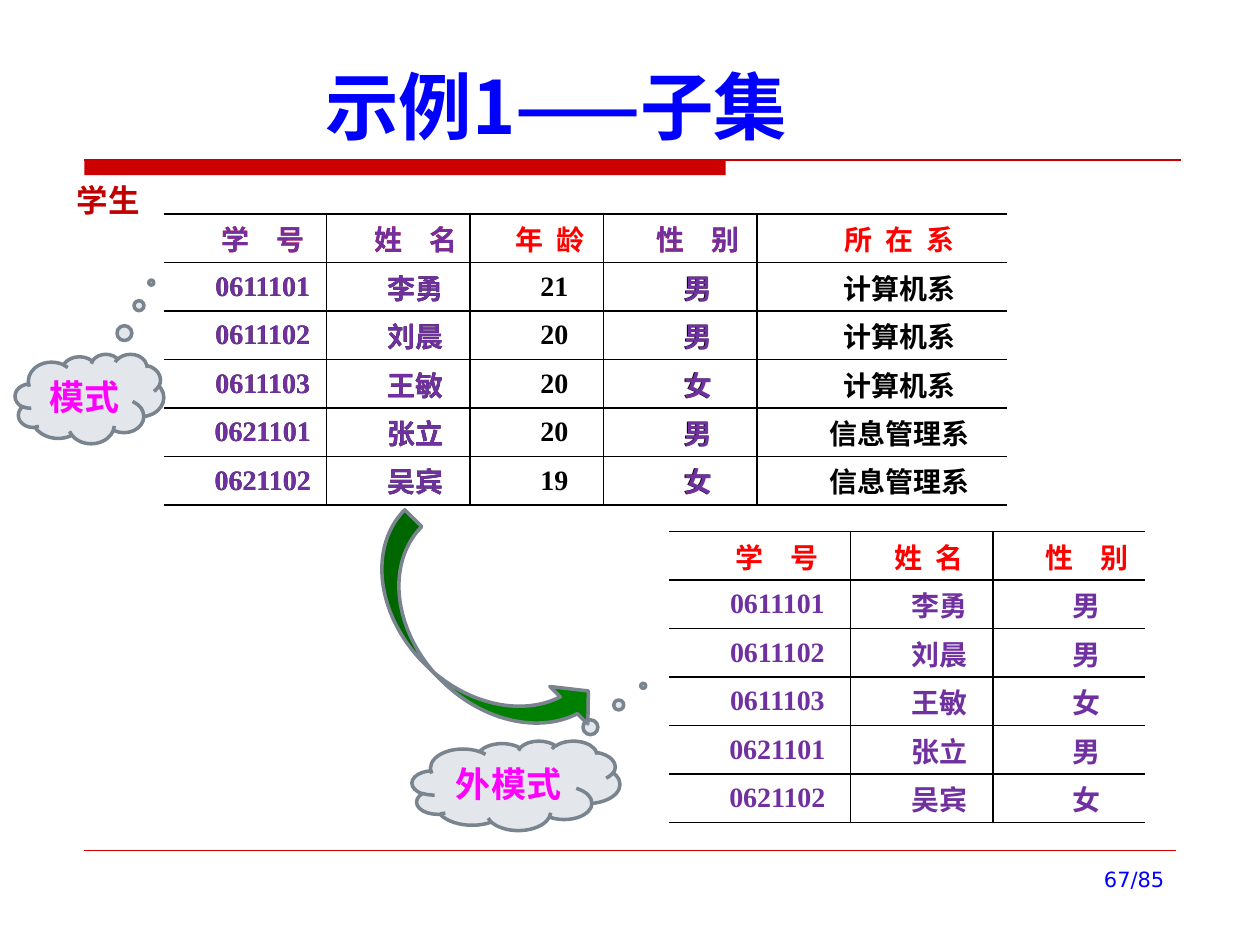
"""Build the subset example slide: student table, external view and callouts."""
from dataclasses import dataclass

from lxml.etree import SubElement
from pptx import Presentation
from pptx.dml.color import RGBColor
from pptx.enum.shapes import MSO_CONNECTOR, MSO_SHAPE
from pptx.enum.text import MSO_ANCHOR, PP_ALIGN
from pptx.oxml.ns import qn
from pptx.util import Inches, Pt

BLUE = RGBColor(0x00, 0x00, 0xFF)
CRIMSON = RGBColor(0xCC, 0x00, 0x00)
DARK_RED = RGBColor(0xC0, 0x00, 0x00)
RED = RGBColor(0xFF, 0x00, 0x00)
PURPLE = RGBColor(0x70, 0x30, 0xA0)
MAGENTA = RGBColor(0xFF, 0x00, 0xFF)
BLACK = RGBColor(0x00, 0x00, 0x00)
GREEN = RGBColor(0x00, 0x80, 0x00)
CLOUD_FILL = RGBColor(0xA3, 0xB2, 0xC1)
OUTLINE = RGBColor(0x79, 0x84, 0x8F)

CHINESE_FONT = "Noto Sans CJK SC"
SANS_FONT = "DejaVu Sans"
TABLE_FONT = "Times New Roman"
TABLE_HEIGHT = 2.31
FIRST_LINE_INDENT = Inches(0.28)
BORDER_TAGS = {"left": "a:lnL", "right": "a:lnR", "top": "a:lnT", "bottom": "a:lnB"}

HEADERS = ["学 号", "姓 名", "年 龄", "性 别", "所 在 系"]
STUDENTS = [
    ["0611101", "李勇", "21", "男", "计算机系"],
    ["0611102", "刘晨", "20", "男", "计算机系"],
    ["0611103", "王敏", "20", "女", "计算机系"],
    ["0621101", "张立", "20", "男", "信息管理系"],
    ["0621102", "吴宾", "19", "女", "信息管理系"],
]


@dataclass
class StudentTable:
    left: float
    top: float
    fields: list[int]
    widths: list[float]
    header_color: RGBColor
    body_color: RGBColor
    narrow_fields: tuple[int, ...] = ()
    left_aligned_field: int | None = None
    side_margin: float = 0.07
    left_edge: bool = False
    right_edge: bool = False


@dataclass
class Callout:
    text: str
    left: float
    top: float
    width: float
    pointer: tuple[float, float]


MAIN_TABLE = StudentTable(1.3, 1.7, [0, 1, 2, 3, 4], [1.29, 1.14, 1.06, 1.22, 1.98],
                          RED, BLACK, narrow_fields=(2, 4), left_aligned_field=2,
                          side_margin=0.08)
VIEW_TABLE = StudentTable(5.31, 4.22, [0, 1, 3], [1.44, 1.13, 1.21], RED, PURPLE,
                          narrow_fields=(1,), left_aligned_field=1)
HIGHLIGHTS = [
    StudentTable(1.3, 1.7, [0], [1.29], PURPLE, PURPLE, side_margin=0.08, right_edge=True),
    StudentTable(2.59, 1.7, [1], [1.14], PURPLE, PURPLE, left_edge=True, right_edge=True),
    StudentTable(4.79, 1.7, [3], [1.22], PURPLE, PURPLE, left_edge=True, right_edge=True),
]
SCHEMA_CALLOUT = Callout("模式", 0.12, 2.81, 1.18, (0.416, -1.299))
VIEW_CALLOUT = Callout("外模式", 3.27, 5.88, 1.65, (0.612, -1.116))


def write_text(text_frame, text: str, *, size: float, color: RGBColor, font: str,
               bold: bool = True, align=PP_ALIGN.CENTER, spacing: float = 0):
    paragraph = text_frame.paragraphs[0]
    paragraph.alignment = align
    run = paragraph.add_run()
    run.text = text
    run.font.size = Pt(size)
    run.font.bold = bold
    run.font.color.rgb = color
    run.font.name = font
    properties = run.font._element
    if spacing:
        properties.set("spc", str(int(spacing * 100)))
    SubElement(properties, qn("a:ea")).set("typeface", CHINESE_FONT)
    return paragraph


def add_text_box(slide, text: str, left: float, top: float, width: float, height: float,
                 *, anchor=MSO_ANCHOR.TOP, **text_format) -> None:
    box = slide.shapes.add_textbox(Inches(left), Inches(top), Inches(width), Inches(height))
    box.text_frame.word_wrap = True
    box.text_frame.vertical_anchor = anchor
    write_text(box.text_frame, text, **text_format)


def add_line(slide, left: float, right: float, y: float, width: float) -> None:
    line = slide.shapes.add_connector(MSO_CONNECTOR.STRAIGHT, Inches(left), Inches(y),
                                      Inches(right), Inches(y))
    line.line.color.rgb = CRIMSON
    line.line.width = Pt(width)
    SubElement(line._element.spPr, qn("a:effectLst"))


def add_preset(slide, preset, left: float, top: float, width: float, height: float,
               fill: RGBColor, adjustments: tuple[float, ...] = ()):
    shape = slide.shapes.add_shape(preset, Inches(left), Inches(top),
                                   Inches(width), Inches(height))
    shape.shadow.inherit = False
    shape.fill.solid()
    shape.fill.fore_color.rgb = fill
    shape.line.color.rgb = OUTLINE
    shape.line.width = Pt(2)
    for index, value in enumerate(adjustments):
        shape.adjustments[index] = value
    return shape


def add_callout(slide, callout: Callout) -> None:
    cloud = add_preset(slide, MSO_SHAPE.CLOUD_CALLOUT, callout.left, callout.top,
                       callout.width, 0.71, CLOUD_FILL, callout.pointer)
    color = cloud._element.spPr.find(qn("a:solidFill")).find(qn("a:srgbClr"))
    SubElement(color, qn("a:alpha")).set("val", "30000")
    cloud.text_frame.vertical_anchor = MSO_ANCHOR.MIDDLE
    write_text(cloud.text_frame, callout.text, size=20, color=MAGENTA, font=SANS_FONT)


def set_borders(cell, visible: dict[str, bool]) -> None:
    properties = cell._tc.get_or_add_tcPr()
    for side, tag in BORDER_TAGS.items():
        border = SubElement(properties, qn(tag), w=str(Pt(1)))
        if visible[side]:
            fill = SubElement(border, qn("a:solidFill"))
            SubElement(fill, qn("a:srgbClr")).set("val", str(BLACK))
        else:
            SubElement(border, qn("a:noFill"))


def add_student_table(slide, spec: StudentTable) -> None:
    records = [HEADERS, *STUDENTS]
    frame = slide.shapes.add_table(len(records), len(spec.fields), Inches(spec.left),
                                   Inches(spec.top), Inches(sum(spec.widths)),
                                   Inches(TABLE_HEIGHT))
    table = frame.table
    table.first_row = table.horz_banding = False
    for column, width in zip(table.columns, spec.widths):
        column.width = Inches(width)
    last = len(spec.fields) - 1
    for row, record in enumerate(records):
        for column, field in enumerate(spec.fields):
            is_header = row == 0
            cell = table.cell(row, column)
            cell.margin_left = cell.margin_right = Inches(spec.side_margin)
            cell.margin_top = cell.margin_bottom = 0
            cell.vertical_anchor = MSO_ANCHOR.MIDDLE
            left_aligned = is_header and field == spec.left_aligned_field
            header_spacing = 2 if field in spec.narrow_fields else 6
            paragraph = write_text(
                cell.text_frame, record[field], size=16, font=TABLE_FONT,
                color=spec.header_color if is_header else spec.body_color,
                align=PP_ALIGN.LEFT if left_aligned else PP_ALIGN.CENTER,
                spacing=header_spacing if is_header else 0)
            paragraph._p.get_or_add_pPr().set("indent", str(FIRST_LINE_INDENT))
            set_borders(cell, {"left": column > 0 or spec.left_edge,
                               "right": column < last or spec.right_edge,
                               "top": True, "bottom": True})
            cell.fill.background()


def main() -> None:
    presentation = Presentation()
    presentation.slide_width = Inches(10)
    presentation.slide_height = Inches(7.5)
    slide = presentation.slides.add_slide(presentation.slide_layouts[6])

    bar = add_preset(slide, MSO_SHAPE.RECTANGLE, 0.67, 1.27, 5.09, 0.12, CRIMSON)
    bar.line.fill.background()
    add_line(slide, 0.67, 9.37, 1.27, 0.75)
    add_line(slide, 0.67, 9.33, 6.75, 0.25)
    add_text_box(slide, "示例1——子集", 0.63, 0.33, 7.57, 0.9, anchor=MSO_ANCHOR.BOTTOM,
                 size=42, color=BLUE, font=CHINESE_FONT)
    add_student_table(slide, MAIN_TABLE)
    add_student_table(slide, VIEW_TABLE)
    add_text_box(slide, "学生", 0.51, 1.39, 0.79, 0.4, size=18, color=DARK_RED,
                 font=CHINESE_FONT, align=PP_ALIGN.LEFT)
    add_callout(slide, SCHEMA_CALLOUT)
    arrow = add_preset(slide, MSO_SHAPE.CURVED_RIGHT_ARROW, 3.37, 3.98, 0.76, 2.26,
                       GREEN, (0.25, 0.558, 0.25))
    arrow.rotation = 314.6
    add_callout(slide, VIEW_CALLOUT)
    for highlight in HIGHLIGHTS:
        add_student_table(slide, highlight)
    add_text_box(slide, "67/85", 7.17, 6.83, 2.17, 0.52, size=12, color=BLUE,
                 font=SANS_FONT, bold=False, align=PP_ALIGN.RIGHT)
    presentation.save("out.pptx")


if __name__ == "__main__":
    main()
